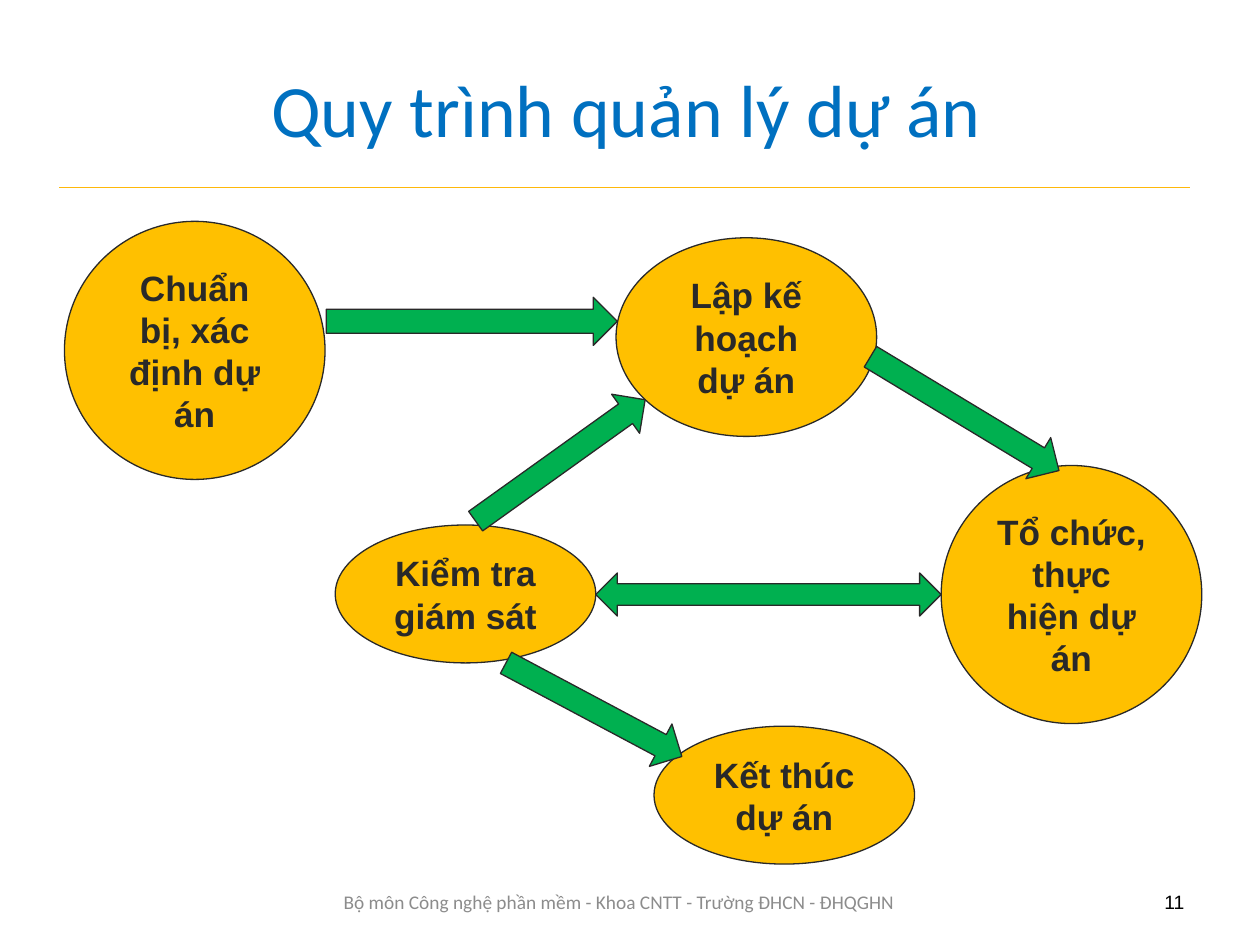
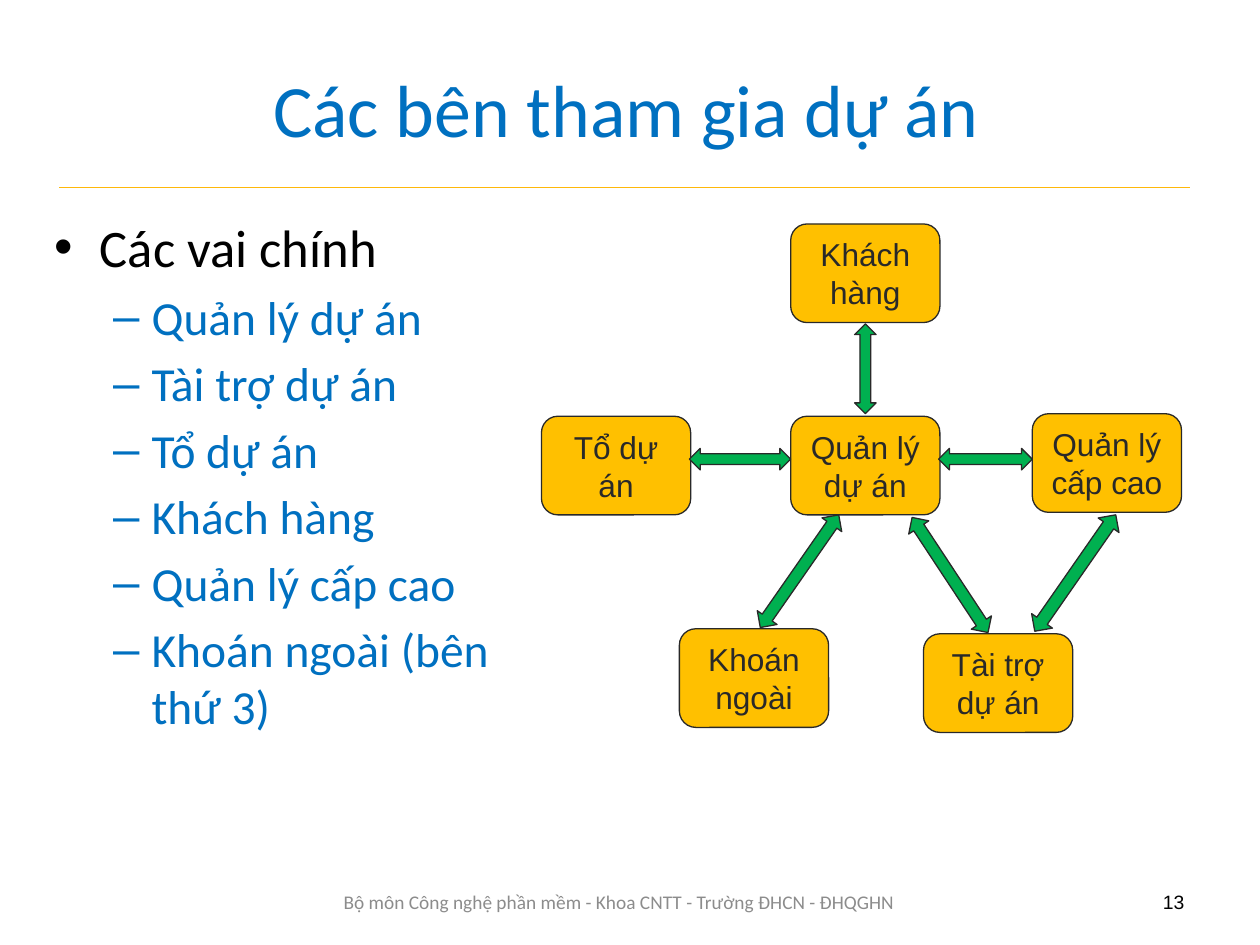
from dataclasses import dataclass
from math import atan2, degrees, hypot

from lxml.etree import SubElement
from pptx import Presentation
from pptx.dml.color import RGBColor
from pptx.enum.shapes import MSO_CONNECTOR, MSO_SHAPE as Preset
from pptx.enum.text import MSO_ANCHOR as Anchor, PP_ALIGN as Align
from pptx.oxml.ns import qn
from pptx.util import Inches, Pt


@dataclass(frozen=True)
class Theme:
    """Colours, fonts and type sizes shared by the slides."""

    title: str = "0070C0"
    rule: str = "FEB80A"
    node: str = "FFC000"
    arrow: str = "00B050"
    ink: str = "292929"
    black: str = "000000"
    footer: str = "8C8C8C"
    text_font: str = "Calibri"
    label_font: str = "Arial"
    title_size: int = 42
    role_heading_size: int = 30
    role_size: int = 27
    step_size: int = 20
    party_size: int = 18
    footer_size: int = 11
    line_width: float = 0.75


THEME = Theme()
FOOTER = "Bộ môn Công nghệ phần mềm - Khoa CNTT - Trường ĐHCN - ĐHQGHN"


def rgb(colour):
    """Turn a hex string into a colour."""
    return RGBColor.from_string(colour)


def style(paragraph, size, colour, font, align=Align.LEFT, bold=False):
    """Set the type and alignment of a whole paragraph."""
    paragraph.alignment = align
    paragraph.font.size = Pt(size)
    paragraph.font.name = font
    paragraph.font.bold = bold
    paragraph.font.color.rgb = rgb(colour)


def add_label(slide, box, text, size, colour, font, align):
    """Add a one-paragraph text box centred vertically."""
    frame = slide.shapes.add_textbox(*map(Inches, box)).text_frame
    frame.word_wrap = True
    frame.vertical_anchor = Anchor.MIDDLE
    frame.text = text
    style(frame.paragraphs[0], size, colour, font, align)


def add_outlined(slide, preset, box, fill):
    """Add a filled preset shape with the shared thin outline."""
    shape = slide.shapes.add_shape(preset, *map(Inches, box))
    shape.shadow.inherit = False
    shape.fill.solid()
    shape.fill.fore_color.rgb = rgb(fill)
    shape.line.color.rgb = rgb(THEME.ink)
    shape.line.width = Pt(THEME.line_width)
    return shape


def add_node(slide, preset, box, text, size, bold=False):
    """Add a labelled diagram node."""
    frame = add_outlined(slide, preset, box, THEME.node).text_frame
    frame.word_wrap = True
    frame.vertical_anchor = Anchor.MIDDLE
    frame.text = text
    style(frame.paragraphs[0], size, THEME.ink, THEME.label_font, Align.CENTER, bold)


def add_arrow(slide, origin, start, end, thickness, preset):
    """Add a block arrow between two points measured from the origin."""
    dx, dy = end[0] - start[0], end[1] - start[1]
    length = hypot(dx, dy)
    left = origin[0] + (start[0] + end[0] - length) / 2
    top = origin[1] + (start[1] + end[1] - thickness) / 2
    arrow = add_outlined(slide, preset, (left, top, length, thickness), THEME.arrow)
    arrow.rotation = degrees(atan2(dy, dx)) % 360


def add_frame(deck, title, number):
    """Add a blank slide with its title, rule, footer and number."""
    slide = deck.slides.add_slide(deck.slide_layouts[6])
    ends = map(Inches, (0.47, 1.48, 9.41, 1.48))
    rule = slide.shapes.add_connector(MSO_CONNECTOR.STRAIGHT, *ends)
    rule.line.color.rgb = rgb(THEME.rule)
    rule.line.width = Pt(THEME.line_width)
    SubElement(rule._element.spPr, qn("a:effectLst"))
    add_label(slide, (0.47, 0.23, 8.96, 1.25), title, THEME.title_size,
              THEME.title, THEME.text_font, Align.CENTER)
    add_label(slide, (2.48, 6.93, 4.83, 0.4), FOOTER, THEME.footer_size,
              THEME.footer, THEME.text_font, Align.CENTER)
    add_label(slide, (7.14, 6.93, 2.32, 0.4), str(number), THEME.footer_size,
              THEME.black, THEME.label_font, Align.RIGHT)
    return slide


def add_process(slide, origin):
    """Draw the project management steps and the flow between them."""
    width, tall, medium, short = 2.06, 2.04, 1.57, 1.09
    steps = [
        ("Chuẩn bị, xác định dự án", 0, 0, tall),
        ("Lập kế hoạch dự án", 4.36, 0.13, medium),
        ("Kiểm tra giám sát", 2.14, 2.4, short),
        ("Tổ chức, thực hiện dự án", 6.93, 1.93, tall),
        ("Kết thúc dự án", 4.66, 3.99, short),
    ]
    for text, x, y, height in steps:
        box = (origin[0] + x, origin[1] + y, width, height)
        add_node(slide, Preset.OVAL, box, text, THEME.step_size, bold=True)
    flows = [
        ((2.07, 0.79), (4.37, 0.79)),
        ((6.37, 1.07), (7.86, 1.97)),
        ((3.49, 3.49), (4.88, 4.23)),
        ((3.25, 2.37), (4.59, 1.41)),
    ]
    for start, end in flows:
        add_arrow(slide, origin, start, end, 0.38, Preset.RIGHT_ARROW)
    add_arrow(slide, origin, (4.2, 2.95), (6.93, 2.95), 0.34, Preset.LEFT_RIGHT_ARROW)


def add_parties(slide, origin):
    """Draw the project parties and the links between them."""
    parties = [
        ("Quản lý dự án", 1.97, 1.52),
        ("Khách hàng", 1.97, 0),
        ("Tổ dự án", 0, 1.52),
        ("Quản lý cấp cao", 3.88, 1.5),
        ("Tài trợ dự án", 3.02, 3.24),
        ("Khoán ngoài", 1.09, 3.2),
    ]
    for text, x, y in parties:
        box = (origin[0] + x, origin[1] + y, 1.18, 0.78)
        add_node(slide, Preset.ROUNDED_RECTANGLE, box, text, THEME.party_size)
    links = [
        ((3.14, 1.86), (3.88, 1.86), 0.17),
        ((1.17, 1.86), (1.97, 1.86), 0.17),
        ((2.56, 0.79), (2.56, 1.5), 0.17),
        ((2.35, 2.3), (1.73, 3.19), 0.19),
        ((3.53, 3.23), (2.93, 2.32), 0.19),
        ((3.9, 3.22), (4.54, 2.3), 0.2),
    ]
    for start, end, thickness in links:
        add_arrow(slide, origin, start, end, thickness, Preset.LEFT_RIGHT_ARROW)


def add_bullet(paragraph, mark, margin, hang):
    """Give a paragraph a bullet with a hanging indent."""
    properties = paragraph._p.get_or_add_pPr()
    properties.set("marL", str(Inches(margin)))
    properties.set("indent", str(-Inches(hang)))
    font = SubElement(properties, qn("a:buFont"))
    font.set("typeface", THEME.label_font)
    SubElement(properties, qn("a:buChar")).set("char", mark)


def add_roles(slide, box, heading, roles):
    """Write the heading and the list of roles under it."""
    frame = slide.shapes.add_textbox(*map(Inches, box)).text_frame
    frame.word_wrap = True
    for index, text in enumerate([heading, *roles]):
        paragraph = frame.add_paragraph() if index else frame.paragraphs[0]
        paragraph.text = text
        size = THEME.role_size if index else THEME.role_heading_size
        paragraph.space_before = Pt(size * 0.2)
        if index:
            paragraph.level = 1
            add_bullet(paragraph, "–", 0.77, 0.3)
        else:
            add_bullet(paragraph, "•", 0.36, 0.36)
        style(paragraph, size, THEME.title if index else THEME.black, THEME.text_font)


def main():
    """Build the two slides and save the deck."""
    deck = Presentation()
    deck.slide_width, deck.slide_height = Inches(9.96), Inches(7.47)

    process = add_frame(deck, "Quy trình quản lý dự án", 11)
    add_process(process, (0.51, 1.75))

    parties = add_frame(deck, "Các bên tham gia dự án", 13)
    roles = ["Quản lý dự án", "Tài trợ dự án", "Tổ dự án", "Khách hàng",
             "Quản lý cấp cao", "Khoán ngoài (bên thứ 3)"]
    add_roles(parties, (0.33, 1.65, 4.19, 4.9), "Các vai chính", roles)
    add_parties(parties, (4.28, 1.77))

    deck.save("out.pptx")


if __name__ == "__main__":
    main()
